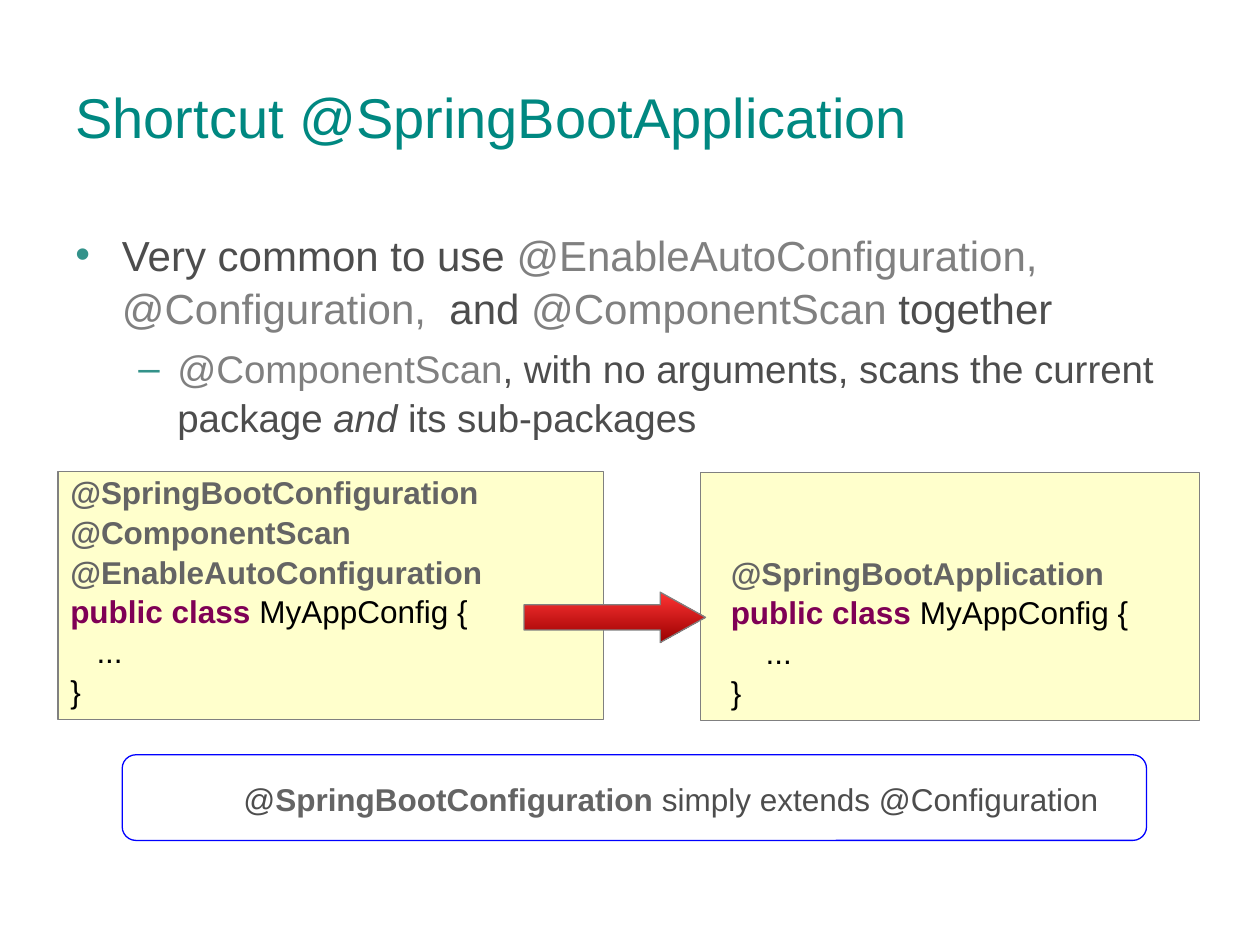
import pptx
import pptx.util
import pptx.dml.color
import pptx.enum.shapes
import pptx.enum.text
import pptx.oxml.ns
import lxml.etree

Inches, Pt = pptx.util.Inches, pptx.util.Pt
SHAPE = pptx.enum.shapes.MSO_SHAPE
ANCHOR = pptx.enum.text.MSO_ANCHOR
RGB = pptx.dml.color.RGBColor.from_string

THEME = {
    "font": "Arial", "spacing": 1.05,
    "title_size": 32, "body_size": 24, "sub_size": 22, "code_size": 18,
    "title": "008881", "text": "4D4D4D", "muted": "808080", "bullet": "33928A",
    "annotation": "646464", "keyword": "7F0055", "code": "000000",
    "code_fill": "FFFFCC", "border": "808080",
    "note_fill": "FFFFFF", "note_border": "0000FF",
    "arrow_top": "FF3333", "arrow_bottom": "990000",
}

# Content: each paragraph is a list of runs (text, colour, style)
TITLE = [("Shortcut @SpringBootApplication", "title", "")]
BULLETS = [
    # bullet, size, left margin, hanging indent, runs
    ("•", "body_size", 0.37, 0.37, [
        ("Very common to use ", "text", ""),
        ("@EnableAutoConfiguration, @Configuration, ", "muted", ""),
        (" and ", "text", ""),
        ("@ComponentScan ", "muted", ""),
        ("together", "text", "")]),
    ("–", "sub_size", 0.81, 0.31, [
        ("@ComponentScan", "muted", ""),
        (", with no arguments, scans the current package ", "text", ""),
        ("and", "text", "i"),
        (" its sub-packages", "text", "")]),
]
CLASS_LINE = [("public class", "keyword", "b"), (" MyAppConfig {", "code", "")]
CODE_BOXES = [
    # left, top, width, text inset, annotations, body line
    (0.46, 3.74, 4.33, 0.1,
     ["@SpringBootConfiguration", "@ComponentScan", "@EnableAutoConfiguration"],
     "   ..."),
    (5.56, 3.75, 3.96, 0.24, ["@SpringBootApplication"], "    ..."),
]
CODE_HEIGHT = 1.97
NOTE = [("@", "text", ""), ("SpringBootConfiguration", "annotation", "b"),
        (" simply extends @Configuration", "text", "")]


def add_runs(p, runs, size, spacing=THEME["spacing"]):
    p.alignment = pptx.enum.text.PP_ALIGN.LEFT
    p.line_spacing = spacing
    for text, color, style in runs:
        r = p.add_run()
        r.text = text
        r.font.name = THEME["font"]
        r.font.size = Pt(THEME[size])
        r.font.color.rgb = RGB(THEME[color])
        r.font.bold = "b" in style
        r.font.italic = "i" in style


def set_frame(sp, anchor, left=0.1, bottom=0.05):
    tf = sp.text_frame
    tf.word_wrap = True
    tf.vertical_anchor = anchor
    tf.margin_left, tf.margin_right = Inches(left), Inches(0.1)
    tf.margin_top, tf.margin_bottom = Inches(0.05), Inches(bottom)
    return tf


def add_text(s, box, anchor):
    return set_frame(s.shapes.add_textbox(*map(Inches, box)), anchor)


def add_shape(s, kind, box, line, fill=None):
    sp = s.shapes.add_shape(kind, *map(Inches, box))
    sp.shadow.inherit = False
    sp.line.color.rgb = RGB(THEME[line])
    sp.line.width = Pt(0)
    if fill:
        sp.fill.solid()
        sp.fill.fore_color.rgb = RGB(THEME[fill])
    return sp


def next_paragraph(tf, i):
    return tf.add_paragraph() if i else tf.paragraphs[0]


def add_bullet(p, char, left, hang):
    qn = pptx.oxml.ns.qn
    pPr = p._p.get_or_add_pPr()
    pPr.set("marL", str(Inches(left)))
    pPr.set("indent", str(-Inches(hang)))
    clr = lxml.etree.SubElement(pPr, qn("a:buClr"))
    lxml.etree.SubElement(clr, qn("a:srgbClr"), val=THEME["bullet"])
    lxml.etree.SubElement(pPr, qn("a:buFont"), typeface=THEME["font"])
    lxml.etree.SubElement(pPr, qn("a:buChar"), char=char)


def main():
    prs = pptx.Presentation()
    prs.slide_width, prs.slide_height = Inches(10), Inches(7.5)
    s = prs.slides.add_slide(prs.slide_layouts[6])

    # Title
    tf = add_text(s, (0.5, 0.3, 9, 1.25), ANCHOR.MIDDLE)
    add_runs(tf.paragraphs[0], TITLE, "title_size", 1.0)

    # Bullets
    tf = add_text(s, (0.5, 1.75, 9, 1.9), ANCHOR.TOP)
    for i, (char, size, left, hang, runs) in enumerate(BULLETS):
        p = next_paragraph(tf, i)
        add_bullet(p, char, left, hang)
        add_runs(p, runs, size)
        if i:
            p.space_before = Pt(6)

    # Code boxes, with the class lines level at the bottom
    for left, top, width, inset, annotations, body in CODE_BOXES:
        sp = add_shape(s, SHAPE.RECTANGLE, (left, top, width, CODE_HEIGHT),
                       "border", "code_fill")
        tf = set_frame(sp, ANCHOR.BOTTOM, inset, 0.08)
        lines = [[(a, "annotation", "b")] for a in annotations]
        lines += [CLASS_LINE, [(body, "code", "")], [("}", "code", "")]]
        for i, runs in enumerate(lines):
            add_runs(next_paragraph(tf, i), runs, "code_size")

    # Arrow from the long form to the shortcut
    sp = add_shape(s, SHAPE.RIGHT_ARROW, (4.16, 4.7, 1.44, 0.4), "border")
    sp.adjustments[0], sp.adjustments[1] = 0.5, 0.9
    sp.fill.gradient()
    sp.fill.gradient_angle = 270
    for stop, color in zip(sp.fill.gradient_stops, ("arrow_top", "arrow_bottom")):
        stop.color.rgb = RGB(THEME[color])

    # Note
    sp = add_shape(s, SHAPE.ROUNDED_RECTANGLE, (0.97, 5.99, 8.13, 0.68),
                   "note_border", "note_fill")
    sp.adjustments[0] = 0.16
    tf = set_frame(sp, ANCHOR.MIDDLE, 0.93)
    add_runs(tf.paragraphs[0], NOTE, "code_size")

    prs.save("out.pptx")


if __name__ == "__main__":
    main()
